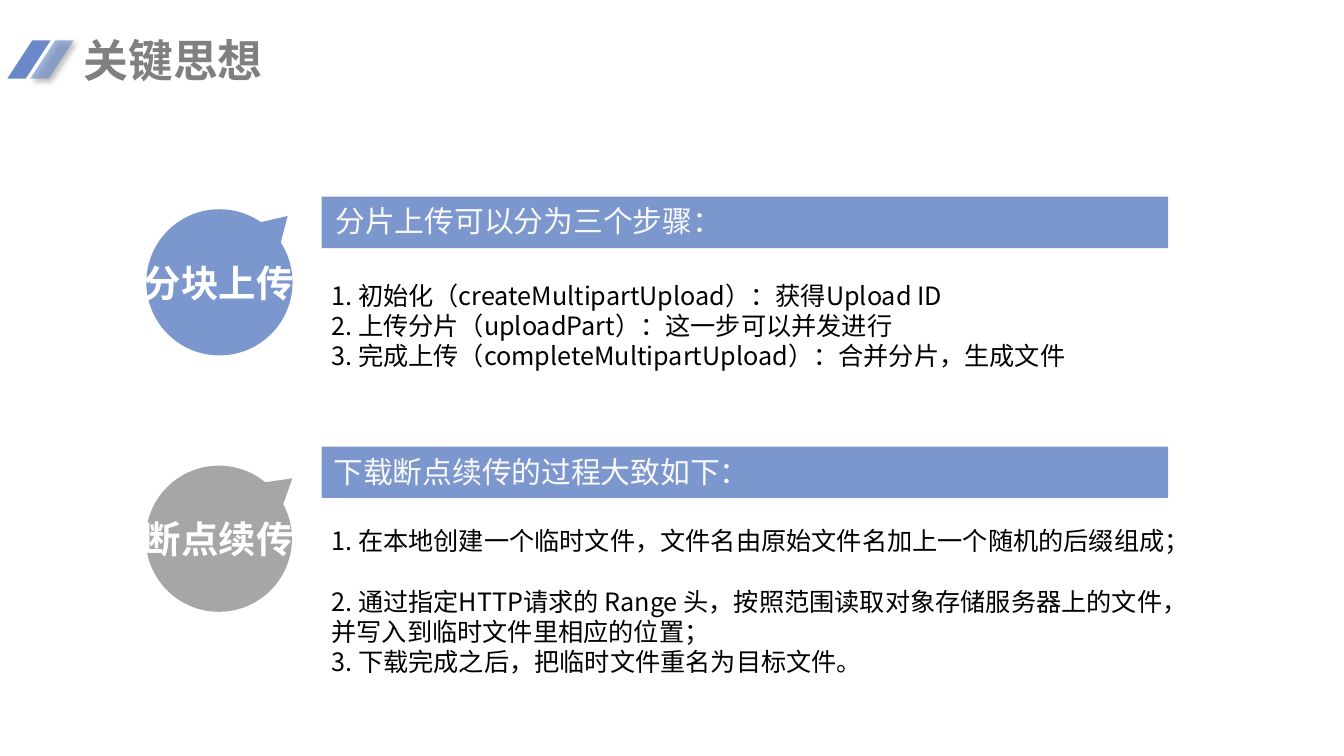
"""Build the slide on the key ideas of chunked upload and resumable download."""
import math

import pptx
import pptx.dml.color
import pptx.enum.shapes
import pptx.enum.text
import pptx.util
from lxml import etree

Pt = pptx.util.Pt
ANCHOR = pptx.enum.text.MSO_ANCHOR
ALIGN = pptx.enum.text.PP_ALIGN
SHAPE = pptx.enum.shapes.MSO_SHAPE
NS = "http://schemas.openxmlformats.org/drawingml/2006/main"
FONT = "Noto Sans CJK SC"
COLORS = {
    "accent": "6A89C8", "blue": "7C97CE", "gray": "A6A6A6", "title": "808080",
    "bar_text": "F8F8F8", "black": "000000", "white": "FFFFFF",
}
FORMATS = {
    "title": {"size": Pt(32), "bold": True},
    "bar": {"size": Pt(21.3)},
    "body": {"size": Pt(18)},
    "label": {"size": Pt(26.7), "bold": True},
}
SECTIONS = [
    {
        "label": "分块上传", "color": "blue", "center": (162.4, 196.2), "turn": 45.8,
        "label_top": 182.2,
        "heading": "分片上传可以分为三个步骤：", "bar_top": 140.5, "heading_at": (232.6, 141.1),
        "body_box": (229.7, 196.6, 604.8, 72.7),
        "steps": ["1. 初始化（createMultipartUpload）：获得Upload ID",
                  "2. 上传分片（uploadPart）：这一步可以并发进行",
                  "3. 完成上传（completeMultipartUpload）：合并分片，生成文件"],
    },
    {
        "label": "断点续传", "color": "gray", "center": (162.4, 379.8), "turn": 50.6,
        "label_top": 365,
        "heading": "下载断点续传的过程大致如下：", "bar_top": 319, "heading_at": (231.1, 320.4),
        "body_box": (229.7, 372, 617, 97.2),
        "steps": ["1. 在本地创建一个临时文件，文件名由原始文件名加上一个随机的后缀组成；",
                  "2. 通过指定HTTP请求的 Range 头，按照范围读取对象存储服务器上的文件，并写入到临时文件里相应的位置；",
                  "3. 下载完成之后，把临时文件重名为目标文件。"],
    },
]


def rgb(name):
    return pptx.dml.color.RGBColor.from_string(COLORS[name])


def paint(sp, color):
    sp.fill.solid()
    sp.fill.fore_color.rgb = rgb(color)
    sp.line.fill.background()
    sp.shadow.inherit = False


def add_block(shapes, kind, box, color):
    sp = shapes.add_shape(kind, *map(Pt, box))
    paint(sp, color)
    return sp


def add_text(shapes, box, text, style, color, wrap=True, insets=(7.2, 3.6),
             anchor=ANCHOR.TOP, align=ALIGN.LEFT):
    tf = shapes.add_textbox(*map(Pt, box)).text_frame
    frame = {"word_wrap": wrap, "vertical_anchor": anchor,
             "margin_left": Pt(insets[0]), "margin_right": Pt(insets[0]),
             "margin_top": Pt(insets[1]), "margin_bottom": Pt(insets[1])}
    for key, value in frame.items():
        setattr(tf, key, value)
    p = tf.paragraphs[0]
    p.text = text
    p.alignment = align
    for r in p.runs:
        for key, value in {"name": FONT, **FORMATS[style]}.items():
            setattr(r.font, key, value)
        r.font.color.rgb = rgb(color)
        etree.SubElement(r.font._element, f"{{{NS}}}ea", typeface=FONT)


def add_slash(shapes, left, faded=False):
    sp = add_block(shapes, SHAPE.PARALLELOGRAM, (left, 28.8, 31, 27.4), "accent")
    sp.adjustments[0] = 0.652
    sp.rotation = 180
    if faded:
        fill = sp._element.spPr.find(f".//{{{NS}}}solidFill/{{{NS}}}srgbClr")
        etree.SubElement(fill, f"{{{NS}}}alpha", val="63000")
        effects = sp._element.spPr.find(f"{{{NS}}}effectLst")
        shadow = etree.SubElement(effects, f"{{{NS}}}outerShdw", blurRad=str(Pt(4)),
                                  dist=str(Pt(3)), dir="2700000", rotWithShape="0")
        tint = etree.SubElement(shadow, f"{{{NS}}}srgbClr", val=COLORS["black"])
        etree.SubElement(tint, f"{{{NS}}}alpha", val="40000")


def arc_points(x, y, radius, start, end):
    """Return the two handles and the end point of a cubic arc."""
    a, b = math.radians(start), math.radians(end)
    k = 4 / 3 * math.tan((b - a) / 4)
    return [(x + radius * u, y + radius * v) for u, v in (
        (math.cos(a) - k * math.sin(a), math.sin(a) + k * math.cos(a)),
        (math.cos(b) + k * math.sin(b), math.sin(b) - k * math.cos(b)),
        (math.cos(b), math.sin(b)))]


def add_bubble(shapes, center, turn, color, radius=52.2, reach=68, gap=11.2):
    x, y = center[0], center[1] + (reach - radius) / 2
    stops = [gap - 90, 0, 90, 180, 270 - gap]
    first = math.radians(stops[0])
    points = [(x + radius * math.cos(first), y + radius * math.sin(first))]
    for start, end in zip(stops, stops[1:]):
        points += arc_points(x, y, radius, start, end)
    builder = shapes.build_freeform(x * 100, (y - reach) * 100, scale=Pt(1) / 100)
    builder.add_line_segments([(px * 100, py * 100) for px, py in points], close=True)
    sp = builder.convert_to_shape()
    lines = sp._element.findall(f".//{{{NS}}}lnTo")[1:]
    for i in range(0, len(lines), 3):
        curve = etree.Element(f"{{{NS}}}cubicBezTo")
        lines[i].addprevious(curve)
        for line in lines[i:i + 3]:
            curve.append(line[0])
            line.getparent().remove(line)
    paint(sp, color)
    sp.rotation = turn


def add_section(shapes, section):
    add_block(shapes, SHAPE.RECTANGLE, (229.7, section["bar_top"], 604.8, 36.7), "blue")
    add_text(shapes, (*section["heading_at"], 487, 33), section["heading"], "bar", "bar_text")
    add_text(shapes, section["body_box"], "\v".join(section["steps"]), "body", "black")
    add_bubble(shapes, section["center"], section["turn"], section["color"])
    add_text(shapes, (96.2, section["label_top"], 120, 39), section["label"], "label", "white",
             wrap=False, insets=(0, 3.6), anchor=ANCHOR.MIDDLE, align=ALIGN.CENTER)


def main():
    prs = pptx.Presentation()
    prs.slide_width, prs.slide_height = Pt(960), Pt(540)
    s = prs.slides.add_slide(prs.slide_layouts[6])
    add_slash(s.shapes, 21.6, faded=True)
    add_slash(s.shapes, 5.2)
    add_text(s.shapes, (50, 18.7, 148.3, 48.2), "关键思想", "title", "title",
             wrap=False, insets=(9.6, 4.8))
    for section in SECTIONS:
        add_section(s.shapes, section)
    prs.save("out.pptx")


if __name__ == "__main__":
    main()
